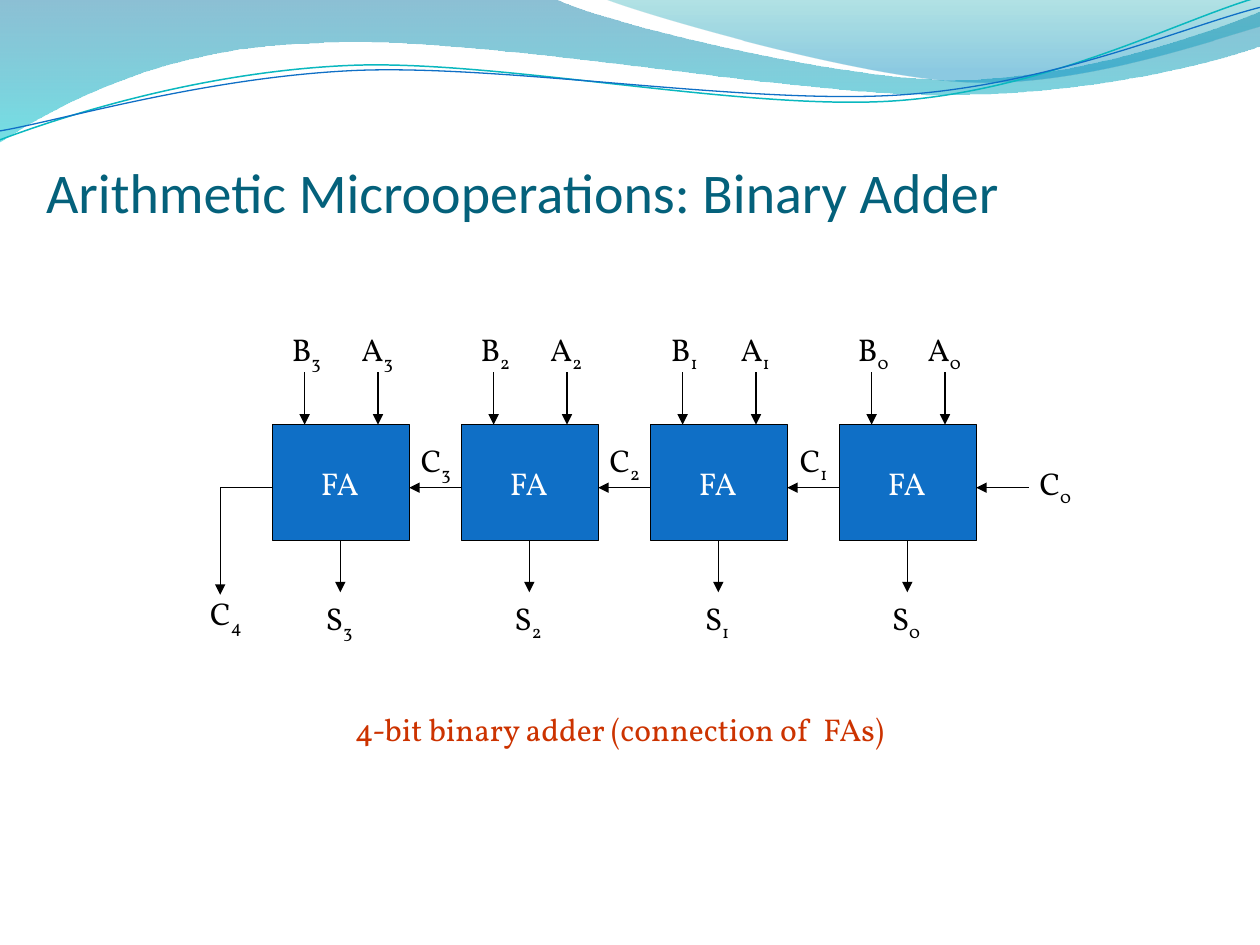
from dataclasses import dataclass

from lxml import etree
from pptx import Presentation
from pptx.dml.color import RGBColor
from pptx.enum.shapes import MSO_CONNECTOR, MSO_SHAPE
from pptx.enum.text import MSO_ANCHOR, PP_ALIGN
from pptx.oxml.ns import qn
from pptx.util import Cm, Pt

RECT, STRAIGHT = MSO_SHAPE.RECTANGLE, MSO_CONNECTOR.STRAIGHT
TOP, BOTTOM = MSO_ANCHOR.TOP, MSO_ANCHOR.BOTTOM
LEFT, CENTER = PP_ALIGN.LEFT, PP_ALIGN.CENTER


@dataclass(frozen=True)
class Theme:
    title: str = "04617B"
    caption: str = "CC3300"
    ink: str = "000000"
    on_box: str = "FFFFFF"
    box: str = "0F6FC6"
    title_font: str = "Calibri"
    body_font: str = "Vollkorn"
    title_size: int = 32
    body_size: int = 18
    line: float = 0.75


T = Theme()

# All positions are in centimetres.
TITLE = "Arithmetic Microoperations: Binary Adder"
CAPTION = "4-bit binary adder (connection of  FAs)"
BITS = (3, 2, 1, 0)

# Outlines: a start, then (x, y) for a line or six numbers for a Bézier curve.
# Gradient stops: position, colour, opacity in percent.
WAVES = [
    ([(0, 0), (11.18, -0.03), (12.09, 0.43, 16.87, 1.6, 19.25, 1.6),
      (21.67, 1.6, 24.33, 0.66, 25.4, 0.23), (25.43, 0.91),
      (24.97, 1.12, 22.1, 1.93, 18.95, 1.91),
      (15.8, 1.91, 9.7, 0.71, 6.53, 0.86),
      (3.28, 0.91, 1.17, 2.11, -0.03, 2.87), (0, 0)],
     [(0, "0074A1", 45), (1, "00C6CF", 55)]),
    ([(12.17, -0.03), (12.93, 0.28, 17.32, 1.57, 19.53, 1.65),
      (21.74, 1.75, 24.41, 0.81, 25.4, 0.53), (25.4, 0), (12.17, -0.03)],
     [(0, "00A1A9", 30), (0.8, "008BBF", 45)]),
]
STRANDS = [
    ([(0, 2.82), (1.22, 2.36, 4.01, 1.45, 7.04, 1.32),
      (10.03, 1.19, 15.06, 2.26, 18.11, 2.03),
      (21.16, 1.8, 23.83, 0.38, 25.35, -0.05)], "0AB8BF", 0.85),
    ([(0, 2.64), (1.19, 2.44, 4.17, 1.55, 7.19, 1.42),
      (10.24, 1.3, 15.16, 2.13, 18.21, 1.91),
      (21.23, 1.7, 23.9, 0.53, 25.4, 0.15)], "0F6FC6", 0.75),
]

BOX_X, BOX_Y, BOX_W, BOX_H, PITCH = 5.5, 8.56, 2.75, 2.34, 3.81
CARRY_Y, STUB = 9.83, 1.06
LABEL_W, LABEL_H = 1.47, 1.17
# Letter, label offset from the box, label top, arrow offset, arrow start and end
PORTS = [
    ("B", -0.06, 6.53, 0.64, BOX_Y - STUB, BOX_Y),
    ("A", 1.37, 6.53, 2.12, BOX_Y - STUB, BOX_Y),
    ("S", 0.6, 11.96, 1.36, BOX_Y + BOX_H, BOX_Y + BOX_H + 1.04),
]


def rgb(code):
    return RGBColor.from_string(code)


def add_outline(shapes, outline, close):
    """Build the outline through its control points, then turn those into curves."""
    points = [(Cm(part[i]), Cm(part[i + 1])) for part in outline for i in range(0, len(part), 2)]
    builder = shapes.build_freeform(*points[0])
    builder.add_line_segments(points[1:], close=close)
    s = builder.convert_to_shape()
    s.shadow.inherit = False
    segments = iter(list(s.element.iter(qn("a:lnTo"))))
    for part in outline[1:]:
        first = next(segments)
        if len(part) == 6:
            curve = etree.Element(qn("a:cubicBezTo"))
            first.addprevious(curve)
            for segment in (first, next(segments), next(segments)):
                curve.append(segment[0])
                segment.getparent().remove(segment)
    return s


def add_wave(shapes, outline, stops):
    s = add_outline(shapes, outline, True)
    s.line.fill.background()
    s.fill.gradient()
    s.fill.gradient_angle = 270
    for stop, (position, color, _) in zip(s.fill.gradient_stops, stops):
        stop.position = position
        stop.color.rgb = rgb(color)
    for clr, (_, _, opacity) in zip(s.element.spPr.iter(qn("a:srgbClr")), stops):
        etree.SubElement(clr, qn("a:alpha")).set("val", str(opacity * 1000))


def add_strand(shapes, outline, color, width):
    s = add_outline(shapes, outline, False)
    s.fill.background()
    s.line.color.rgb = rgb(color)
    s.line.width = Pt(width)


def add_text(shapes, box, text, color=T.ink, sub="", font=T.body_font,
             size=T.body_size, align=CENTER, anchor=TOP):
    s = shapes.add_textbox(*map(Cm, box))
    tf = s.text_frame
    tf.word_wrap = True
    tf.vertical_anchor = anchor
    p = tf.paragraphs[0]
    p.text = text
    p.alignment = align
    if sub:
        r = p.add_run()
        r.text = sub
        r._r.get_or_add_rPr().set("baseline", "-25000")
    for r in p.runs:
        r.font.name = font
        r.font.size = Pt(size)
        r.font.color.rgb = rgb(color)
    return tf


def add_label(shapes, x, y, letter, bit):
    add_text(shapes, (x, y, LABEL_W, LABEL_H), letter, sub=str(bit))


def add_wire(shapes, x1, y1, x2, y2, arrow=True):
    s = shapes.add_connector(STRAIGHT, *map(Cm, (x1, y1, x2, y2)))
    s.line.color.rgb = rgb(T.ink)
    s.line.width = Pt(T.line)
    if arrow:
        etree.SubElement(s.line._get_or_add_ln(), qn("a:tailEnd")).set("type", "triangle")
    etree.SubElement(s._element.spPr, qn("a:effectLst"))


def add_full_adder(shapes, x, bit):
    s = shapes.add_shape(RECT, *map(Cm, (x, BOX_Y, BOX_W, BOX_H)))
    s.shadow.inherit = False
    s.fill.solid()
    s.fill.fore_color.rgb = rgb(T.box)
    s.line.color.rgb = rgb(T.ink)
    s.line.width = Pt(T.line)
    add_text(shapes, (x + 0.29, 9.23, 2.12, 1.02), "FA", T.on_box)
    for letter, label_dx, label_y, wire_dx, y1, y2 in PORTS:
        add_wire(shapes, x + wire_dx, y1, x + wire_dx, y2)
        add_label(shapes, x + label_dx, label_y, letter, bit)
    add_wire(shapes, x + PITCH, CARRY_Y, x + BOX_W, CARRY_Y)
    carry_dx, carry_y = (2.55, 8.76) if bit else (3.61, 9.23)
    add_label(shapes, x + carry_dx, carry_y, "C", bit)


def main():
    prs = Presentation()
    prs.slide_width, prs.slide_height = Cm(25.4), Cm(19.05)
    shapes = prs.slides.add_slide(prs.slide_layouts[6]).shapes
    for wave in WAVES:
        add_wave(shapes, *wave)
    for strand in STRANDS:
        add_strand(shapes, *strand)

    tf = add_text(shapes, (0.93, 3.18, 24.46, 1.35), TITLE, T.title,
                  font=T.title_font, size=T.title_size, align=LEFT, anchor=BOTTOM)
    tf.margin_left = tf.margin_right = tf.margin_bottom = 0
    add_text(shapes, (6.56, 14.18, 11.86, 1.02), CAPTION, T.caption)

    for i, bit in enumerate(BITS):
        add_full_adder(shapes, BOX_X + i * PITCH, bit)
    carry_out_x = BOX_X - STUB
    add_wire(shapes, BOX_X, CARRY_Y, carry_out_x, CARRY_Y, arrow=False)
    add_wire(shapes, carry_out_x, CARRY_Y, carry_out_x, 11.99)
    add_label(shapes, 3.82, 11.86, "C", len(BITS))
    prs.save("out.pptx")


if __name__ == "__main__":
    main()
